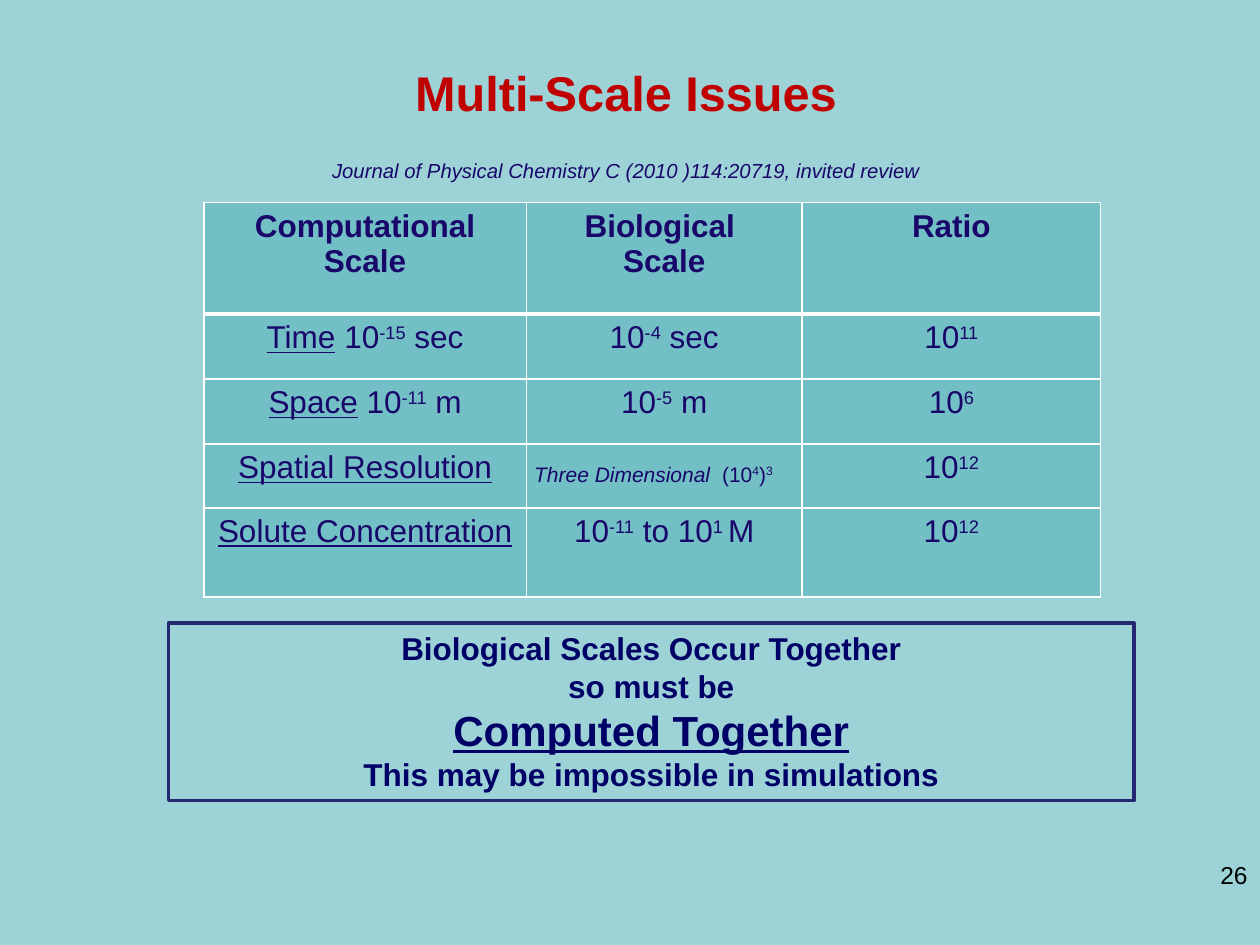
import pptx
import pptx.dml.color
import pptx.enum.shapes
import pptx.enum.text
import pptx.oxml
import pptx.oxml.ns
import pptx.util

Cm = pptx.util.Cm
Pt = pptx.util.Pt
ALIGN = pptx.enum.text.PP_ALIGN
ANCHOR = pptx.enum.text.MSO_ANCHOR


def color(value):
    return pptx.dml.color.RGBColor.from_string(value)


def add_run(paragraph, text, font_color, superscript=False, **formats):
    """Append one Arial run; extra formats are font attributes."""
    run = paragraph.add_run()
    run.text = text
    for name, value in {"name": "Arial", "bold": False, **formats}.items():
        setattr(run.font, name, value)
    run.font.color.rgb = color(font_color)
    if superscript:
        run.font._element.set("baseline", "30000")


presentation = pptx.Presentation()
presentation.slide_width, presentation.slide_height = Cm(25.4), Cm(19.05)
slide = presentation.slides.add_slide(presentation.slide_layouts[5])
slide.background.fill.solid()
slide.background.fill.fore_color.rgb = color("9DD3D7")
INK = "19066A"

# Title and citation
title = slide.shapes.title
title.left, title.top, title.width, title.height = Cm(0.65), Cm(0.94), Cm(23.95), Cm(2.9)
frame = title.text_frame
frame.auto_size = pptx.enum.text.MSO_AUTO_SIZE.NONE
frame.vertical_anchor = ANCHOR.TOP
frame.margin_top = Cm(0.13)
heading, citation = frame.paragraphs[0], frame.add_paragraph()
for paragraph in (heading, citation):
    paragraph.alignment = ALIGN.CENTER
    paragraph.space_before = Pt(0)
add_run(heading, "Multi-Scale Issues", "C00000", superscript=True, size=Pt(48), bold=True)
add_run(citation, "Journal of Physical Chemistry C (2010 )114:20719, invited review", INK,
        superscript=True, size=Pt(20), italic=True)

# Table: "_" marks underlined text, "^" marks superscripts
rows = [
    ["Computational Scale", "Biological \nScale", "Ratio"],
    ["_Time_ 10^-15^ sec", "10^-4^ sec", "10^11"],
    ["_Space_ 10^-11^ m", "10^-5^ m", "10^6"],
    ["_Spatial Resolution_", "", "10^12"],
    ["_Solute Concentration_", "10^-11^ to 10^1 ^M", "10^12"],
]
column_widths = [6.5, 5.56, 6.02]
row_heights = [2.25, 1.31, 1.31, 1.29, 1.79]
table = slide.shapes.add_table(5, 3, Cm(4.11), Cm(4.08), Cm(sum(column_widths)),
                               Cm(sum(row_heights))).table
for column, width in zip(table.columns, column_widths):
    column.width = Cm(width)
for row, height in zip(table.rows, row_heights):
    row.height = Cm(height)

for row_index, row in enumerate(rows):
    for column_index, text in enumerate(row):
        cell = table.cell(row_index, column_index)
        for line_index, line in enumerate(text.split("\n")):
            frame = cell.text_frame
            paragraph = frame.add_paragraph() if line_index else frame.paragraphs[0]
            paragraph.alignment = ALIGN.CENTER
            for part_index, part in enumerate(line.split("_")):
                for piece_index, piece in enumerate(part.split("^")):
                    if piece:
                        add_run(paragraph, piece, INK, superscript=piece_index % 2 == 1,
                                size=Pt(18), bold=row_index == 0,
                                underline=part_index % 2 == 1)
        # White borders, thick below the header, must come before the fill
        properties = cell._tc.get_or_add_tcPr()
        for side in ("L", "R", "T", "B"):
            thick = (side == "B" and row_index == 0) or (side == "T" and row_index == 1)
            properties.append(pptx.oxml.parse_xml(
                f'<a:ln{side} {pptx.oxml.ns.nsdecls("a")} w="{Pt(3 if thick else 1)}">'
                '<a:solidFill><a:srgbClr val="FFFFFF"/></a:solidFill>'
                f'</a:ln{side}>'))
        cell.fill.solid()
        cell.fill.fore_color.rgb = color("72BFC5")

# Label over the empty cell
label = slide.shapes.add_textbox(Cm(10.52), Cm(9.17), Cm(5.82), Cm(0.76))
label.text_frame.word_wrap = True
paragraph = label.text_frame.paragraphs[0]
add_run(paragraph, "Three Dimensional ", INK, size=Pt(12), italic=True)
for index, piece in enumerate([" (10", "4", ")", "3"]):
    add_run(paragraph, piece, INK, superscript=index % 2 == 1, size=Pt(12))

# Conclusion box
box = slide.shapes.add_shape(pptx.enum.shapes.MSO_SHAPE.RECTANGLE,
                             Cm(3.4), Cm(12.56), Cm(19.46), Cm(3.58))
box.shadow.inherit = False
box.fill.background()
box.line.color.rgb = color("262673")
box.line.width = Pt(2)
frame = box.text_frame
frame.word_wrap = True
frame.vertical_anchor = ANCHOR.TOP
conclusion = ["Biological Scales Occur Together", "so must be", "Computed Together",
              "This may be impossible in simulations"]
for index, line in enumerate(conclusion):
    paragraph = frame.add_paragraph() if index else frame.paragraphs[0]
    paragraph.alignment = ALIGN.CENTER
    key_line = line == "Computed Together"
    add_run(paragraph, line, "000066", size=Pt(24 if key_line else 18), bold=True,
            underline=key_line)

# Slide number
number = slide.shapes.add_textbox(Cm(22.3), Cm(17.22), Cm(3.1), Cm(1.32))
number.text_frame.word_wrap = True
paragraph = number.text_frame.paragraphs[0]
paragraph.alignment = ALIGN.RIGHT
add_run(paragraph, "26", "000000", size=Pt(14))

presentation.save("out.pptx")
